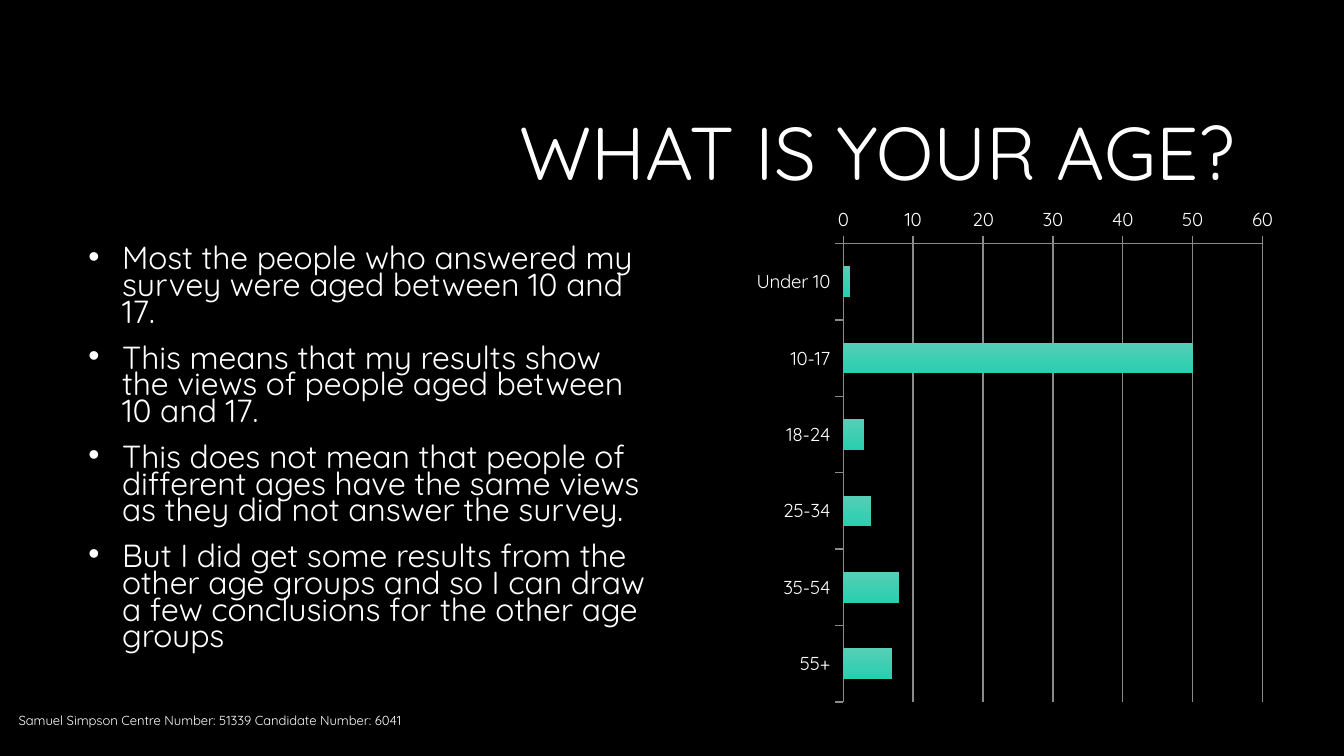
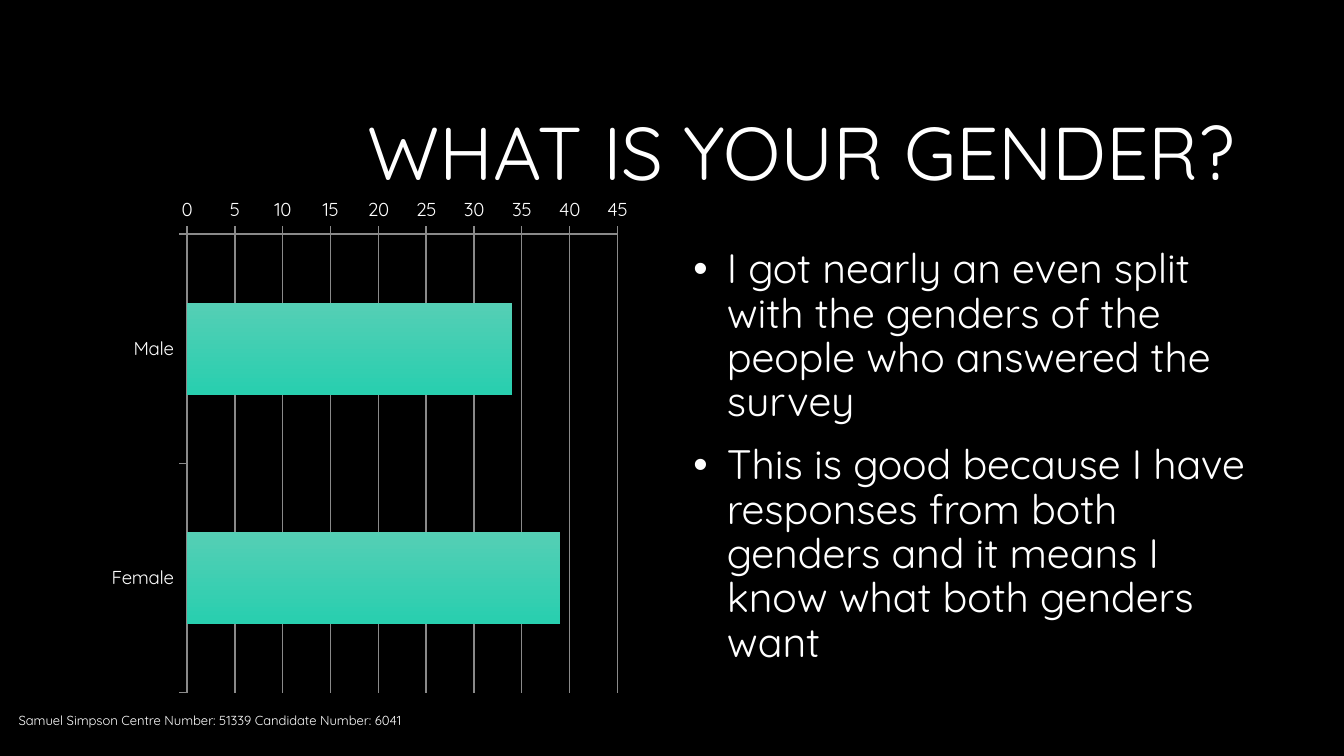
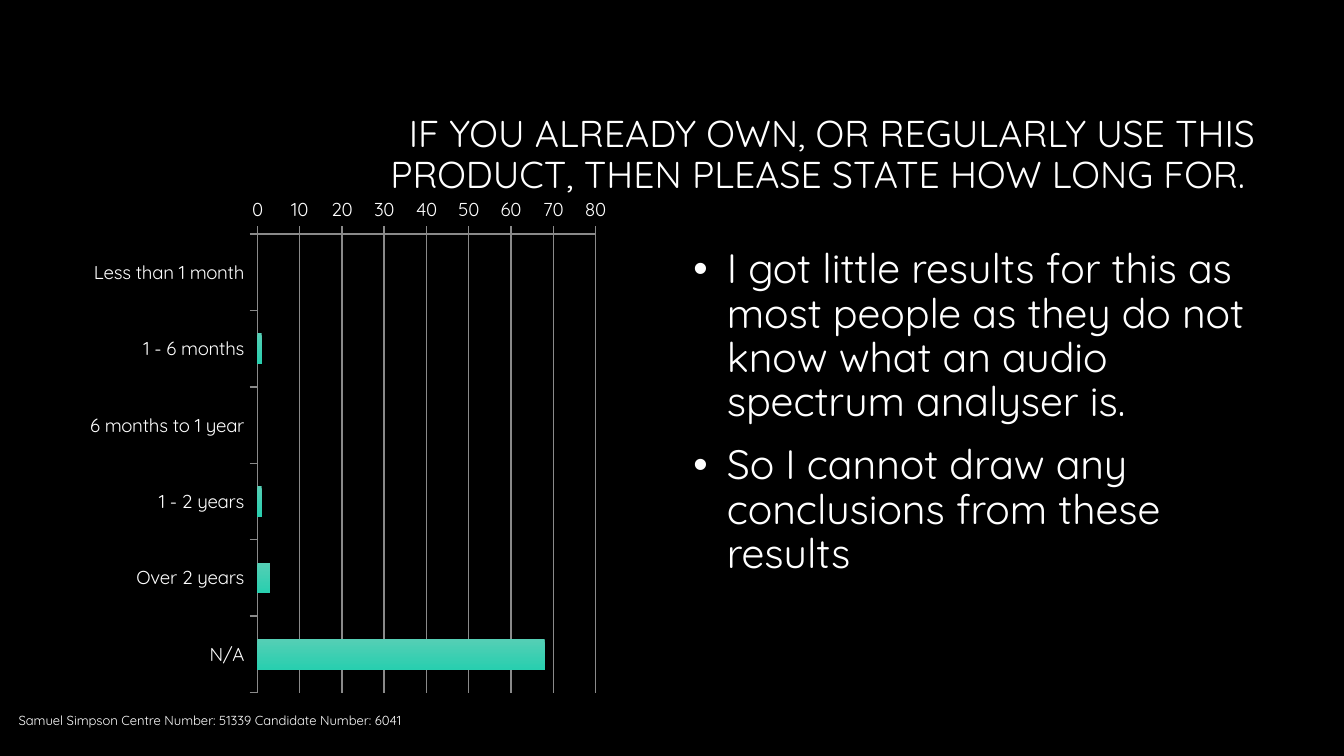
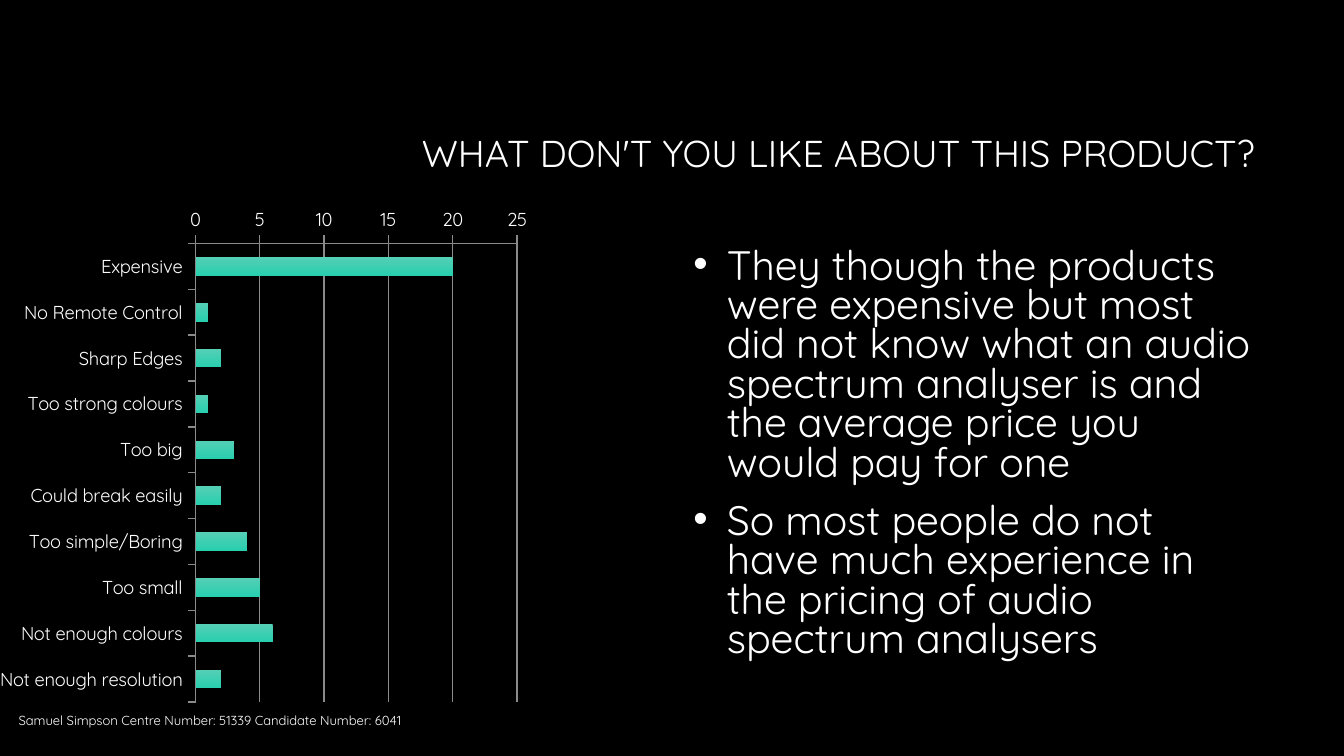
import pptx
import pptx.chart.data
import pptx.dml.color
import pptx.enum.chart
import pptx.enum.text
import pptx.oxml.ns
import pptx.util
from lxml import etree

Inches, Pt = pptx.util.Inches, pptx.util.Pt
RGB = pptx.dml.color.RGBColor.from_string
ALIGN = pptx.enum.text.PP_ALIGN
ANCHOR = pptx.enum.text.MSO_ANCHOR

COLORS = {
    "background": "000000",
    "text": "FFFFFF",
    "axis": "8A8A8A",
    "bar_top": "55CFB5",
    "bar_bottom": "28CFAF",
}
FONT = "Quicksand"
FOOTER = "Samuel Simpson Centre Number: 51339 Candidate Number: 6041"
BODY_LEFT = 5.06

SLIDES = [
    {
        "title": "WHAT IS YOUR AGE? ", "title_size": 40,
        "body_left": 0.56, "body_size": 17.1, "spacing": 0.7,
        "bullets": [
            "Most the people who answered my survey were aged between 10 and 17.",
            "This means that my results show the views of people aged between 10 and 17.",
            "This does not mean that people of different ages have the same views "
            "as they did not answer the survey.",
            "But I did get some results from the other age groups and so I can draw "
            "a few conclusions for the other age groups",
        ],
        "chart_at": (5.55, 1.47),
        "answers": {"Under 10": 1, "10-17": 50, "18-24": 3, "25-34": 4,
                    "35-54": 8, "55+": 7},
    },
    {
        "title": "WHAT IS YOUR GENDER? ", "title_size": 40,
        "body_left": BODY_LEFT, "body_size": 22, "spacing": 0.9,
        "bullets": [
            "I got nearly an even split with the genders of the people who "
            "answered the survey",
            "This is good because I have responses from both genders and it means "
            "I know what both genders want",
        ],
        "chart_at": (0.75, 1.4),
        "answers": {"Male": 34, "Female": 39},
    },
    {
        "title": "IF YOU ALREADY OWN, OR REGULARLY USE THIS PRODUCT, "
                 "THEN PLEASE STATE HOW LONG FOR. ", "title_size": 20,
        "body_left": BODY_LEFT, "body_size": 22, "spacing": 0.9,
        "bullets": [
            "I got little results for this as most people as they do not know "
            "what an audio spectrum analyser is.",
            "So I cannot draw any conclusions from these results",
        ],
        "chart_at": (0.59, 1.4),
        "answers": {"Less than 1 month": 0, "1 - 6 months": 1,
                    "6 months to 1 year": 0, "1 - 2 years": 1,
                    "Over 2 years": 3, "N/A": 68},
    },
    {
        "title": "WHAT DON'T YOU LIKE ABOUT THIS PRODUCT?", "title_size": 20,
        "body_left": BODY_LEFT, "body_size": 22, "spacing": 0.8,
        "bullets": [
            "They though the products were expensive but most did not know what an "
            "audio spectrum analyser is and the average price you would pay for one",
            "So most people do not have much experience in the pricing of audio "
            "spectrum analysers",
        ],
        "chart_at": (0, 1.47),
        "answers": {"Expensive": 20, "No Remote Control": 1, "Sharp Edges": 2,
                    "Too strong colours": 1, "Too big": 3,
                    "Could break easily": 2, "Too simple/Boring": 4,
                    "Too small": 5, "Not enough colours": 6,
                    "Not enough resolution": 2},
    },
]


def set_font(font, size):
    font.name = FONT
    font.size = Pt(size)
    font.color.rgb = RGB(COLORS["text"])


def add_text(s, box, lines, size, spacing=1.0, align=ALIGN.LEFT,
             anchor=ANCHOR.MIDDLE, bullets=False):
    tf = s.shapes.add_textbox(*map(Inches, box)).text_frame
    tf.word_wrap = True
    tf.vertical_anchor = anchor
    tf.text = "\n".join(lines)
    for i, p in enumerate(tf.paragraphs):
        p.alignment = align
        p.line_spacing = spacing
        if i:
            p.space_before = Pt(10)
        if bullets:
            pPr = p._p.get_or_add_pPr()
            pPr.set("marL", str(Inches(0.25)))
            pPr.set("indent", str(-Inches(0.25)))
            etree.SubElement(pPr, pptx.oxml.ns.qn("a:buFont"), typeface="Arial")
            etree.SubElement(pPr, pptx.oxml.ns.qn("a:buChar"), char="•")
        for r in p.runs:
            set_font(r.font, size)


prs = pptx.Presentation()
prs.slide_width = Inches(10)
prs.slide_height = prs.slide_width * 9 // 16

for content in SLIDES:
    s = prs.slides.add_slide(prs.slide_layouts[6])
    s.background.fill.solid()
    s.background.fill.fore_color.rgb = RGB(COLORS["background"])

    add_text(s, (2.38, 0.63, 7.06, 1.06), [content["title"]],
             content["title_size"], 0.9, ALIGN.RIGHT)
    add_text(s, (content["body_left"], 1.8, 4.38, 3.3), content["bullets"],
             content["body_size"], content["spacing"],
             anchor=ANCHOR.TOP, bullets=True)
    add_text(s, (0.04, 5.21, 6.38, 0.3), [FOOTER], 7)

    data = pptx.chart.data.CategoryChartData()
    data.categories = list(content["answers"])
    data.add_series("Series 1", list(content["answers"].values()))
    chart = s.shapes.add_chart(
        pptx.enum.chart.XL_CHART_TYPE.BAR_CLUSTERED,
        *map(Inches, (*content["chart_at"], 4, 3.83)), data).chart
    chart.has_legend = False
    chart.has_title = False
    set_font(chart.font, 10)

    chart.category_axis.reverse_order = True
    chart.value_axis.minimum_scale = 0
    chart.value_axis.has_major_gridlines = True
    for axis in (chart.category_axis, chart.value_axis):
        axis.major_tick_mark = pptx.enum.chart.XL_TICK_MARK.OUTSIDE
        axis.minor_tick_mark = pptx.enum.chart.XL_TICK_MARK.NONE
    for line in (chart.category_axis.format.line, chart.value_axis.format.line,
                 chart.value_axis.major_gridlines.format.line):
        line.color.rgb = RGB(COLORS["axis"])
        line.width = Pt(0.75)

    plot = chart.plots[0]
    plot.gap_width = 150
    plot.vary_by_categories = False
    fill = plot.series[0].format.fill
    fill.gradient()
    fill.gradient_angle = 270
    for stop, name in zip(fill.gradient_stops, ("bar_top", "bar_bottom")):
        stop.color.rgb = RGB(COLORS[name])

prs.save("out.pptx")
